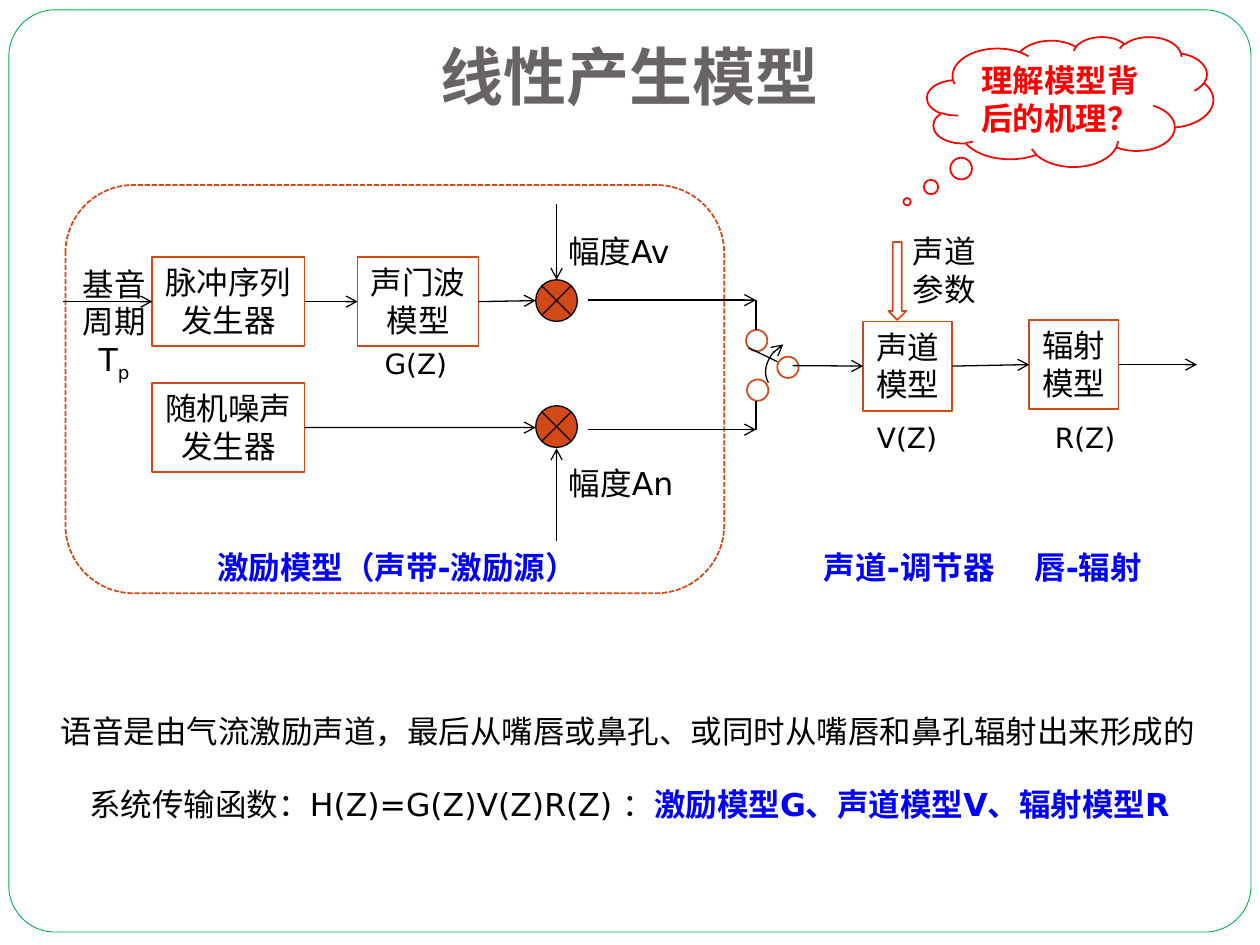
from dataclasses import dataclass
from typing import Optional, Union

from lxml.etree import SubElement
from pptx import Presentation
from pptx.dml.color import RGBColor
from pptx.enum.dml import MSO_LINE
from pptx.enum.shapes import MSO_CONNECTOR, MSO_SHAPE as Preset
from pptx.enum.text import MSO_ANCHOR as Anchor, PP_ALIGN
from pptx.oxml.ns import qn
from pptx.util import Cm, Pt

BLACK = RGBColor(0, 0, 0)
WHITE = RGBColor(255, 255, 255)
RUST = RGBColor(0xD3, 0x48, 0x17)
GREEN = RGBColor(0, 0xB0, 0x50)
BLUE = RGBColor(0, 0, 255)
RED = RGBColor(255, 0, 0)
GRAY = RGBColor(0x69, 0x64, 0x64)
SANS, SERIF = "DejaVu Sans", "Times New Roman"


@dataclass
class Run:
    text: str
    color: RGBColor = BLACK
    bold: bool = False
    size: float = 18
    font: str = SANS
    subscript: bool = False


@dataclass
class Block:
    name: str
    left: float
    top: float
    width: float
    lines: tuple[str, ...]


@dataclass
class Label:
    left: float
    top: float
    width: float
    height: float
    lines: list[list[Run]]
    wrap: bool = False


@dataclass
class Wire:
    """Each end is a point in cm or a (block name, connection site) pair."""
    start: tuple[Union[str, float], float]
    end: tuple[Union[str, float], float]
    arrow: bool = True


presentation = Presentation()
presentation.slide_width, presentation.slide_height = Cm(25.4), Cm(19.05)
slide = presentation.slides.add_slide(presentation.slide_layouts[5])
shapes = slide.shapes


def write(text_frame, lines: list[list[Run]], wrap: bool, anchor=Anchor.TOP) -> None:
    text_frame.word_wrap = wrap
    text_frame.vertical_anchor = anchor
    for index, line in enumerate(lines):
        paragraph = text_frame.paragraphs[0] if index == 0 else text_frame.add_paragraph()
        paragraph.alignment = PP_ALIGN.CENTER
        for item in line:
            run = paragraph.add_run()
            run.text = item.text
            formats = {"size": Pt(item.size), "name": item.font, "bold": item.bold}
            for key, value in formats.items():
                setattr(run.font, key, value)
            run.font.color.rgb = item.color
            if item.subscript:
                run.font._element.set("baseline", "-25000")


def add_preset(preset, left: float, top: float, width: float, height: float,
               line: RGBColor = RUST, fill: Optional[RGBColor] = WHITE, weight: float = 1):
    shape = shapes.add_shape(preset, Cm(left), Cm(top), Cm(width), Cm(height))
    shape.shadow.inherit = False
    if fill is None:
        shape.fill.background()
    else:
        shape.fill.solid()
        shape.fill.fore_color.rgb = fill
    shape.line.color.rgb = line
    shape.line.width = Pt(weight)
    return shape


def add_arrowhead(shape) -> None:
    SubElement(shape.line._get_or_add_ln(), qn("a:tailEnd"), type="arrow")


def add_wire(wire: Wire, blocks: dict) -> None:
    points = [(0, 0) if isinstance(end[0], str) else end for end in (wire.start, wire.end)]
    connector = shapes.add_connector(
        MSO_CONNECTOR.STRAIGHT, *(Cm(value) for point in points for value in point))
    for end, join in ((wire.start, connector.begin_connect), (wire.end, connector.end_connect)):
        if isinstance(end[0], str):
            join(blocks[end[0]], end[1])
    connector.line.color.rgb = BLACK
    connector.line.width = Pt(0.75)
    if wire.arrow:
        add_arrowhead(connector)
    SubElement(connector._element.spPr, qn("a:effectLst"))


def add_label(label: Label) -> None:
    box = shapes.add_textbox(Cm(label.left), Cm(label.top), Cm(label.width), Cm(label.height))
    write(box.text_frame, label.lines, label.wrap)


# Slide frame and the excitation region
frame = add_preset(Preset.ROUNDED_RECTANGLE, 0.18, 0.2, 25.04, 18.59, GREEN, None, 0.5)
frame.adjustments[0] = 0.05
region = add_preset(Preset.ROUNDED_RECTANGLE, 1.32, 3.73, 13.28, 8.23)
region.line.dash_style = MSO_LINE.SQUARE_DOT

# Processing blocks
BLOCKS = [
    Block("pulse", 3.07, 5.18, 3.07, ("脉冲序列", "发生器")),
    Block("glottal", 7.21, 5.18, 2.44, ("声门波", "模型")),
    Block("noise", 3.07, 7.72, 3.07, ("随机噪声", "发生器")),
    Block("tract", 17.4, 6.48, 1.8, ("声道", "模型")),
    Block("radiation", 20.75, 6.45, 1.8, ("辐射", "模型")),
]
block_shapes = {}
for block in BLOCKS:
    shape = add_preset(Preset.RECTANGLE, block.left, block.top, block.width, 1.8)
    write(shape.text_frame, [[Run(line, font=SERIF)] for line in block.lines], False)
    block_shapes[block.name] = shape

# Gain multipliers and switch contacts
for top in (5.64, 8.18):
    add_preset(Preset.FLOWCHART_SUMMING_JUNCTION, 10.8, top, 0.84, 0.84, BLACK, RUST, 0.75)
for left, top in ((15.04, 6.65), (15.06, 7.65), (15.67, 7.19)):
    add_preset(Preset.FLOWCHART_CONNECTOR, left, top, 0.43, 0.43)

# Signal paths
LEFT, RIGHT = 1, 3
WIRES = [
    Wire((1.27, 6.08), ("pulse", LEFT)),
    Wire(("pulse", RIGHT), ("glottal", LEFT)),
    Wire(("glottal", RIGHT), (10.8, 6.06)),
    Wire(("noise", RIGHT), (10.8, 8.62)),
    Wire((11.22, 4.11), (11.22, 5.64)),
    Wire((11.22, 10.9), (11.22, 9.04)),
    Wire((11.86, 6.05), (15.24, 6.05)),
    Wire((11.86, 8.66), (15.24, 8.66)),
    Wire((15.24, 6.05), (15.24, 6.65), arrow=False),
    Wire((15.24, 8.08), (15.24, 8.66), arrow=False),
    Wire((15.67, 7.29), (15.09, 7.01), arrow=False),
    Wire((15.98, 7.37), ("tract", LEFT)),
    Wire(("tract", RIGHT), ("radiation", LEFT)),
    Wire(("radiation", RIGHT), (24.13, 7.35)),
]
for wire in WIRES:
    add_wire(wire, block_shapes)

# Switch direction and vocal tract input
arc = add_preset(Preset.ARC, 15.54, 6.73, 1.02, 1.3, BLACK, None, 0.75)
arc.rotation = 239.4
add_arrowhead(arc)
add_preset(Preset.DOWN_ARROW, 17.91, 4.88, 0.36, 1.57)

# Labels
LABELS = [
    Label(1.4, 5.21, 1.8, 2.57,
          [[Run("基音")], [Run("周期")], [Run("T"), Run("p", subscript=True)]]),
    Label(11.18, 4.55, 2.59, 1.02, [[Run("幅度Av")]], wrap=True),
    Label(11.2, 9.22, 2.64, 1.02, [[Run("幅度An")]], wrap=True),
    Label(18.14, 4.55, 1.8, 1.8, [[Run("声道")], [Run("参数")]]),
    Label(0.86, 14.22, 23.6, 1.02,
          [[Run("语音是由气流激励声道，最后从嘴唇或鼻孔、或同时从嘴唇和鼻孔辐射出来形成的")]]),
    Label(0.89, 15.7, 23.6, 1.02,
          [[Run("系统传输函数：H(Z)=G(Z)V(Z)R(Z) ："),
            Run("激励模型G、声道模型V、辐射模型R", BLUE, True)]]),
]
for text, left, top in (("G(Z)", 7.47, 6.86), ("V(Z)", 17.37, 8.36), ("R(Z)", 20.96, 8.36)):
    LABELS.append(Label(left, top, 1.83, 0.94, [[Run(text, size=16)]]))
for text, left, width in (("激励模型（声带-激励源）", 4.04, 7.92),
                          ("声道-调节器", 16.31, 4.04), ("唇-辐射", 20.55, 2.77)):
    LABELS.append(Label(left, 10.92, width, 1.02, [[Run(text, BLUE, True)]], wrap=True))
for label in LABELS:
    add_label(label)

# Title
title = shapes.title
TITLE_BOX = {"left": 0.84, "top": 0.33, "width": 23.7, "height": 2.21}
for key, value in TITLE_BOX.items():
    setattr(title, key, Cm(value))
title.text_frame.margin_bottom = Cm(0.25)
write(title.text_frame, [[Run("线性产生模型", GRAY, True, 36, "Cabin")]], True, Anchor.BOTTOM)

# Question cloud
cloud = add_preset(Preset.CLOUD_CALLOUT, 18.69, 0.74, 5.77, 2.62, RED)
cloud.adjustments[0], cloud.adjustments[1] = -0.57, 0.77
write(cloud.text_frame, [[Run("理解模型背后的机理？", RED, True, font="Arial")]],
      True, Anchor.MIDDLE)

presentation.save("out.pptx")
